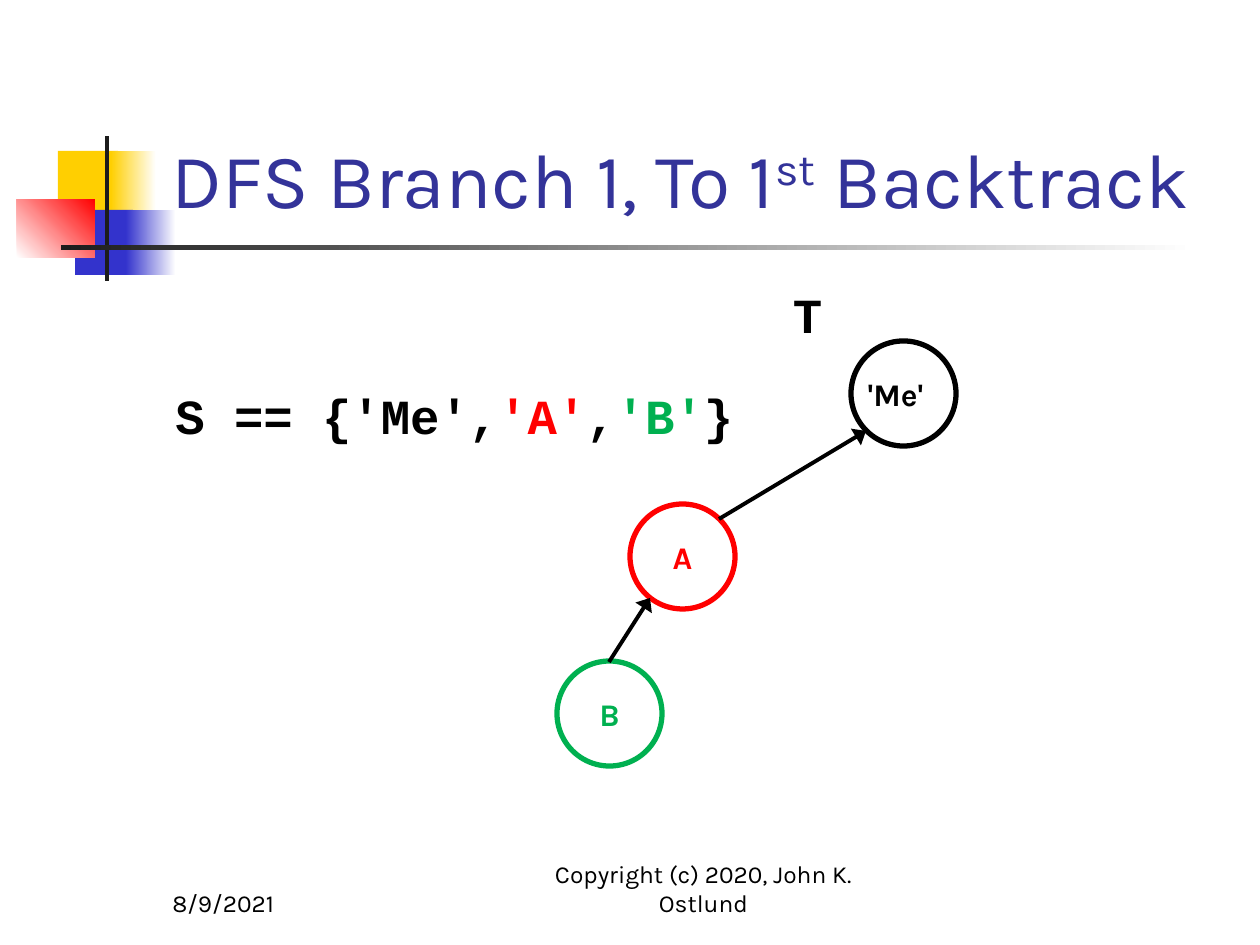
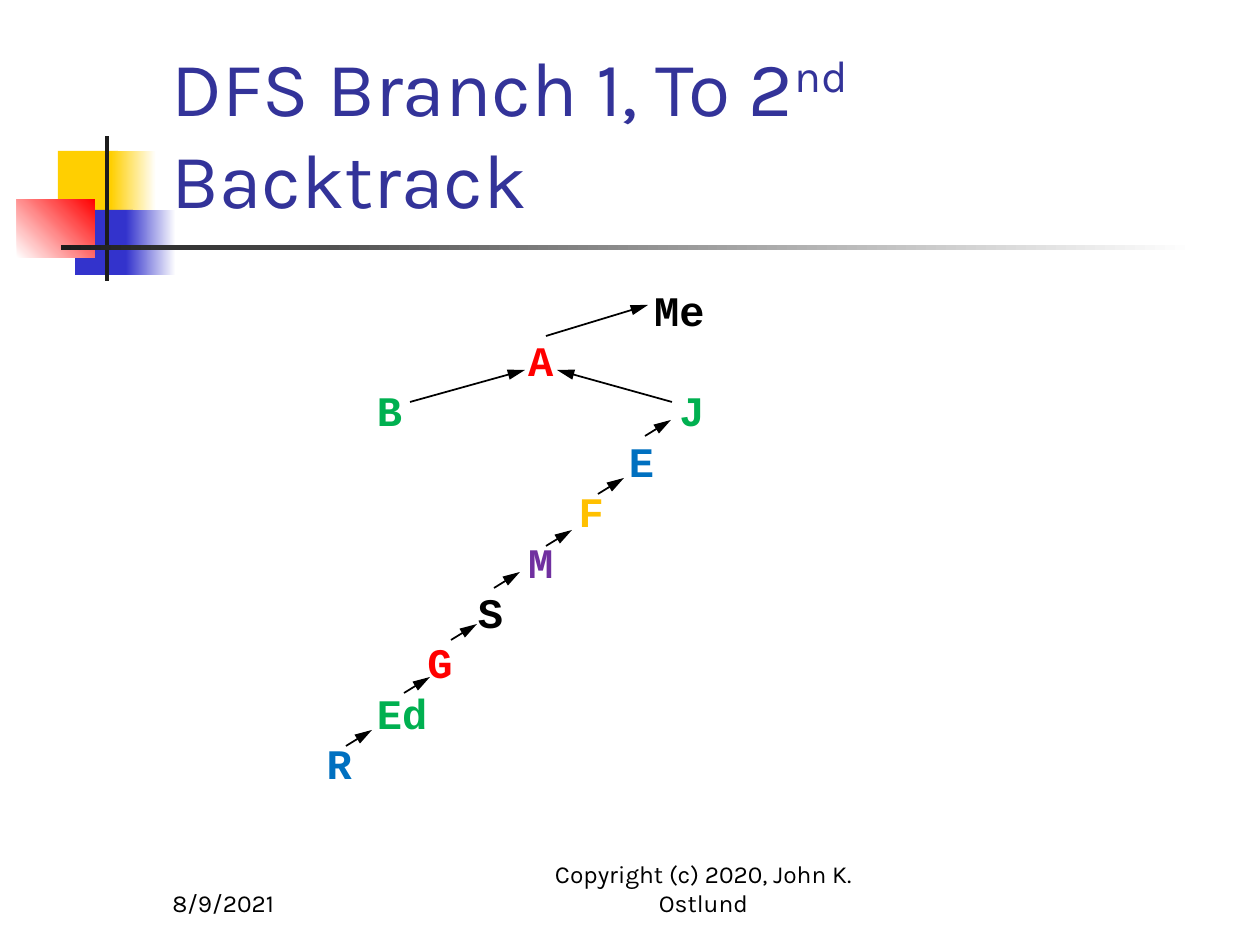
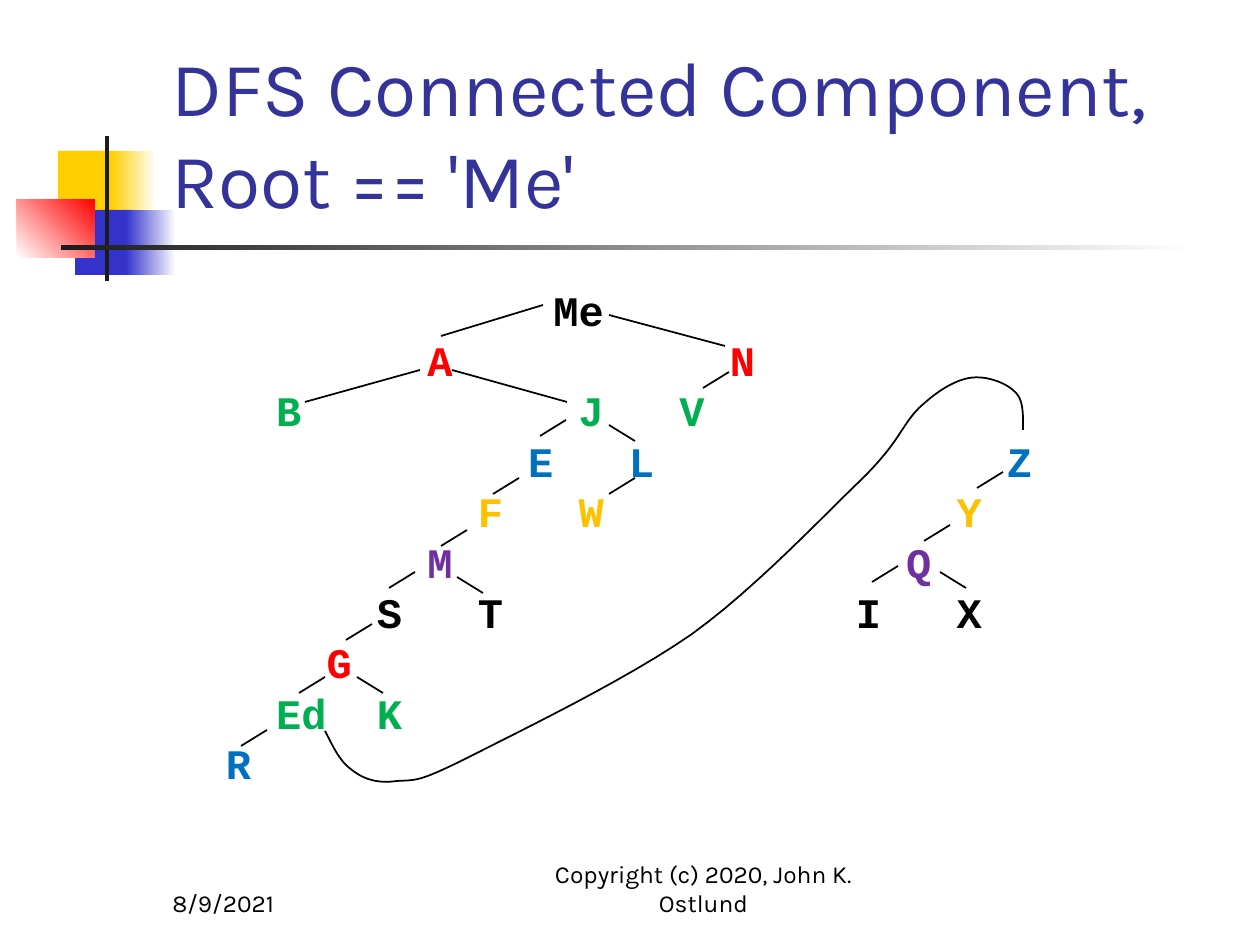
from dataclasses import dataclass
from itertools import cycle

from lxml.etree import SubElement
from pptx import Presentation
from pptx.dml.color import RGBColor
from pptx.enum.shapes import MSO_CONNECTOR as CONNECTOR, MSO_SHAPE as SHAPE
from pptx.enum.text import MSO_ANCHOR as ANCHOR, PP_ALIGN as ALIGN
from pptx.oxml.ns import qn
from pptx.util import Emu, Pt


@dataclass(frozen=True)
class Theme:
    black: str = "000000"
    white: str = "FFFFFF"
    red: str = "FF0000"
    green: str = "00B050"
    blue: str = "0070C0"
    amber: str = "FFC000"
    purple: str = "7030A0"
    title: str = "333399"
    band_yellow: str = "FFCF01"
    band_blue: str = "3333CC"
    band_dark: str = "1C1C1C"
    sans: str = "Karla"
    mono: str = "Courier New"
    title_size: int = 44
    set_size: int = 28
    tree_size: int = 24
    node_size: int = 18
    footer_size: int = 14


THEME = Theme()
PX = 914400 / 126
MONO_ADVANCE = 0.6

BANDS = [
    ((58, 151, 60, 65), [THEME.band_yellow], 0),
    ((111, 151, 45, 65), [THEME.band_yellow, THEME.white], 0),
    ((75, 210, 58, 65), [THEME.band_blue], 0),
    ((126, 210, 50, 65), [THEME.band_blue, THEME.white], 0),
    ((17, 199, 78, 59), [THEME.white, THEME.red], 45),
    ((105, 136, 4, 145), [THEME.band_dark], 0),
    ((61, 245, 1134, 5), [THEME.band_dark, THEME.white], 0),
]
TITLE_BOX = (159, 29, 1073, 201)
BODY_BOX = (163, 278, 1071, 567)
FOOTERS = [
    ((160, 861, 262, 63), "8/9/2021", ALIGN.LEFT),
    ((504, 861, 399, 63), "Copyright (c) 2020, John K. Ostlund", ALIGN.CENTER),
]

TITLES = [
    [("DFS Branch 1, To 1", 0), ("st", 30), (" Backtrack", 0)],
    [("DFS Branch 1, To 2", 0), ("nd", 30), (" Backtrack", 0)],
    [("DFS Connected Component, Root == 'Me'", 0)],
]

VISITED_SET = [
    [(21, "T", THEME.black)],
    [
        (0, "S == {'Me',", THEME.black),
        (0, "'A'", THEME.red),
        (0, ",", THEME.black),
        (0, "'B'", THEME.green),
        (0, "}", THEME.black),
    ],
]
VISITED_SET_GAP = 24
NODE_DIAMETER = 105
NODES = [
    ("'Me'", (851, 341), THEME.black, 16),
    ("A", (630, 504), THEME.red, 0),
    ("B", (557, 661), THEME.green, 0),
]
NODE_LINKS = [((719, 519), (866, 431)), ((609, 662), (650, 598))]
WIDE_ARROW = {"type": "triangle", "w": "lg", "len": "med"}
LONG_ARROW = {"type": "triangle", "w": "med", "len": "lg"}

LEVEL_COLORS = [
    THEME.black, THEME.red, THEME.green, THEME.blue, THEME.amber, THEME.purple,
]
FIRST_BRANCH = [
    [(19, "Me")],
    [(14, "A")],
    [(8, "B"), (20, "J")],
    [(18, "E")],
    [(16, "F")],
    [(14, "M")],
    [(12, "S")],
    [(10, "G")],
    [(8, "Ed")],
    [(6, "R")],
]
OTHER_BRANCHES = [
    [],
    [(22, "N")],
    [(20, "V")],
    [(18, "L"), (33, "Z")],
    [(16, "W"), (31, "Y")],
    [(29, "Q")],
    [(12, "T"), (27, "I"), (31, "X")],
    [],
    [(8, "K")],
    [],
]
COLUMN_SHIFT = -4
LINK_SHIFT = -105

LINK_RUN, LINK_RISE = 26, 16
FIRST_LONG_LINKS = [
    ((546, 336), (648, 305)),
    ((410, 402), (525, 370)),
    ((672, 402), (557, 370)),
]
FIRST_LEFT_CHILDREN = [
    (645, 436), (598, 494), (546, 546), (494, 588), (451, 640), (404, 693), (346, 746),
]
OTHER_LONG_LINKS = [((725, 346), (609, 315))]
OTHER_LEFT_CHILDREN = [(703, 388), (609, 494), (977, 488), (924, 541), (872, 582)]
OTHER_RIGHT_CHILDREN = [(635, 441), (483, 593), (383, 693), (966, 588)]

CURVE_START = (325, 731)
CURVE_SEGMENTS = [
    ((333, 746), (339, 761), (352, 770)),
    ((363, 779), (378, 784), (397, 781)),
    ((417, 780), (419, 782), (469, 757)),
    ((518, 732), (626, 680), (692, 634)),
    ((757, 587), (825, 514), (863, 478)),
    ((901, 440), (901, 426), (919, 408)),
    ((936, 392), (953, 381), (969, 378)),
    ((984, 375), (1005, 382), (1014, 391)),
    ((1024, 399), (1023, 415), (1023, 430)),
]
CURVE_STEPS = 12


def emu(*lengths):
    return [Emu(round(length * PX)) for length in lengths]


def rgb(color):
    return RGBColor.from_string(color)


def add_run(paragraph, text, size, color, font=THEME.sans, bold=False):
    run = paragraph.add_run()
    run.text = text
    run.font.name = font
    run.font.size = Pt(size)
    run.font.bold = bold
    run.font.color.rgb = rgb(color)
    return run


def add_text_frame(slide, box, anchor=ANCHOR.TOP):
    frame = slide.shapes.add_textbox(*emu(*box)).text_frame
    frame.word_wrap = True
    frame.vertical_anchor = anchor
    return frame


def add_band(slide, box, colors, angle):
    shape = slide.shapes.add_shape(SHAPE.RECTANGLE, *emu(*box))
    shape.shadow.inherit = False
    shape.line.fill.background()
    if len(colors) == 1:
        shape.fill.solid()
        shape.fill.fore_color.rgb = rgb(colors[0])
        return
    shape.fill.gradient()
    shape.fill.gradient_angle = angle
    for stop, color in zip(shape.fill.gradient_stops, colors):
        stop.color.rgb = rgb(color)


def add_base_slide(presentation, title):
    slide = presentation.slides.add_slide(presentation.slide_layouts[6])
    for band in BANDS:
        add_band(slide, *band)
    paragraph = add_text_frame(slide, TITLE_BOX, ANCHOR.BOTTOM).paragraphs[0]
    for text, raised in title:
        run = add_run(paragraph, text, THEME.title_size, THEME.title)
        if raised:
            run._r.get_or_add_rPr().set("baseline", str(raised * 1000))
    for box, text, alignment in FOOTERS:
        paragraph = add_text_frame(slide, box, ANCHOR.BOTTOM).paragraphs[0]
        paragraph.alignment = alignment
        add_run(paragraph, text, THEME.footer_size, THEME.black)
    return slide


def add_rows(slide, rows, size, gap=0):
    frame = add_text_frame(slide, BODY_BOX)
    for index, row in enumerate(rows):
        paragraph = frame.add_paragraph() if index else frame.paragraphs[0]
        columns = [column for column, _, _ in row if column]
        if columns:
            tabs = SubElement(paragraph._p.get_or_add_pPr(), qn("a:tabLst"))
            for column in columns:
                position = Pt(column * size * MONO_ADVANCE)
                SubElement(tabs, qn("a:tab"), pos=str(position), algn="l")
        paragraph.space_before = Pt(gap if index else 0)
        for column, text, color in row:
            lead = "\t" if column else ""
            add_run(paragraph, lead + text, size, color, THEME.mono, True)


def add_link(slide, child, parent, width=1, arrow=None):
    connector = slide.shapes.add_connector(CONNECTOR.STRAIGHT, *emu(*child, *parent))
    connector.line.color.rgb = rgb(THEME.black)
    connector.line.width = Pt(width)
    properties = connector._element.spPr
    if arrow:
        SubElement(properties.find(qn("a:ln")), qn("a:tailEnd"), arrow)
    SubElement(properties, qn("a:effectLst"))


def add_node(slide, label, corner, color, right_inset):
    shape = slide.shapes.add_shape(
        SHAPE.OVAL, *emu(*corner, NODE_DIAMETER, NODE_DIAMETER))
    shape.shadow.inherit = False
    shape.fill.background()
    shape.line.color.rgb = rgb(color)
    shape.line.width = Pt(3)
    frame = shape.text_frame
    frame.word_wrap = False
    frame.vertical_anchor = ANCHOR.MIDDLE
    frame.margin_left, frame.margin_right = emu(0, right_inset)
    frame.paragraphs[0].alignment = ALIGN.CENTER
    add_run(frame.paragraphs[0], label, THEME.node_size, color, bold=True)


def short_links(children, direction):
    return [((x, y), (x + direction * LINK_RUN, y - LINK_RISE)) for x, y in children]


def shift_links(links, distance):
    return [((x1 + distance, y1), (x2 + distance, y2)) for (x1, y1), (x2, y2) in links]


def color_levels(levels):
    return [[(column, label, color) for column, label in level]
            for level, color in zip(levels, cycle(LEVEL_COLORS))]


def add_tree(slide, levels, links, arrow=None):
    add_rows(slide, color_levels(levels), THEME.tree_size)
    for child, parent in links:
        add_link(slide, child, parent, arrow=arrow)


def curve_points():
    start = CURVE_START
    for first, second, end in CURVE_SEGMENTS:
        for step in range(1, CURVE_STEPS + 1):
            t = step / CURVE_STEPS
            u = 1 - t
            yield emu(*(u**3 * a + 3 * u * u * t * b + 3 * u * t * t * c + t**3 * d
                        for a, b, c, d in zip(start, first, second, end)))
        start = end


def add_curve(slide):
    builder = slide.shapes.build_freeform(*emu(*CURVE_START))
    builder.add_line_segments(list(curve_points()), close=False)
    shape = builder.convert_to_shape()
    shape.shadow.inherit = False
    shape.fill.background()
    shape.line.color.rgb = rgb(THEME.black)
    shape.line.width = Pt(1)


def main():
    presentation = Presentation()
    presentation.slide_width, presentation.slide_height = emu(1260, 945)
    set_slide, branch_slide, component_slide = [
        add_base_slide(presentation, title) for title in TITLES]

    add_rows(set_slide, VISITED_SET, THEME.set_size, VISITED_SET_GAP)
    for node in NODES:
        add_node(set_slide, *node)
    for child, parent in NODE_LINKS:
        add_link(set_slide, child, parent, 2.25, WIDE_ARROW)

    first_links = FIRST_LONG_LINKS + short_links(FIRST_LEFT_CHILDREN, 1)
    add_tree(branch_slide, FIRST_BRANCH, first_links, LONG_ARROW)

    levels = [[(column + COLUMN_SHIFT, label) for column, label in first] + others
              for first, others in zip(FIRST_BRANCH, OTHER_BRANCHES)]
    links = (shift_links(first_links, LINK_SHIFT) + OTHER_LONG_LINKS
             + short_links(OTHER_LEFT_CHILDREN, 1)
             + short_links(OTHER_RIGHT_CHILDREN, -1))
    add_tree(component_slide, levels, links)
    add_curve(component_slide)

    presentation.save("out.pptx")


if __name__ == "__main__":
    main()
